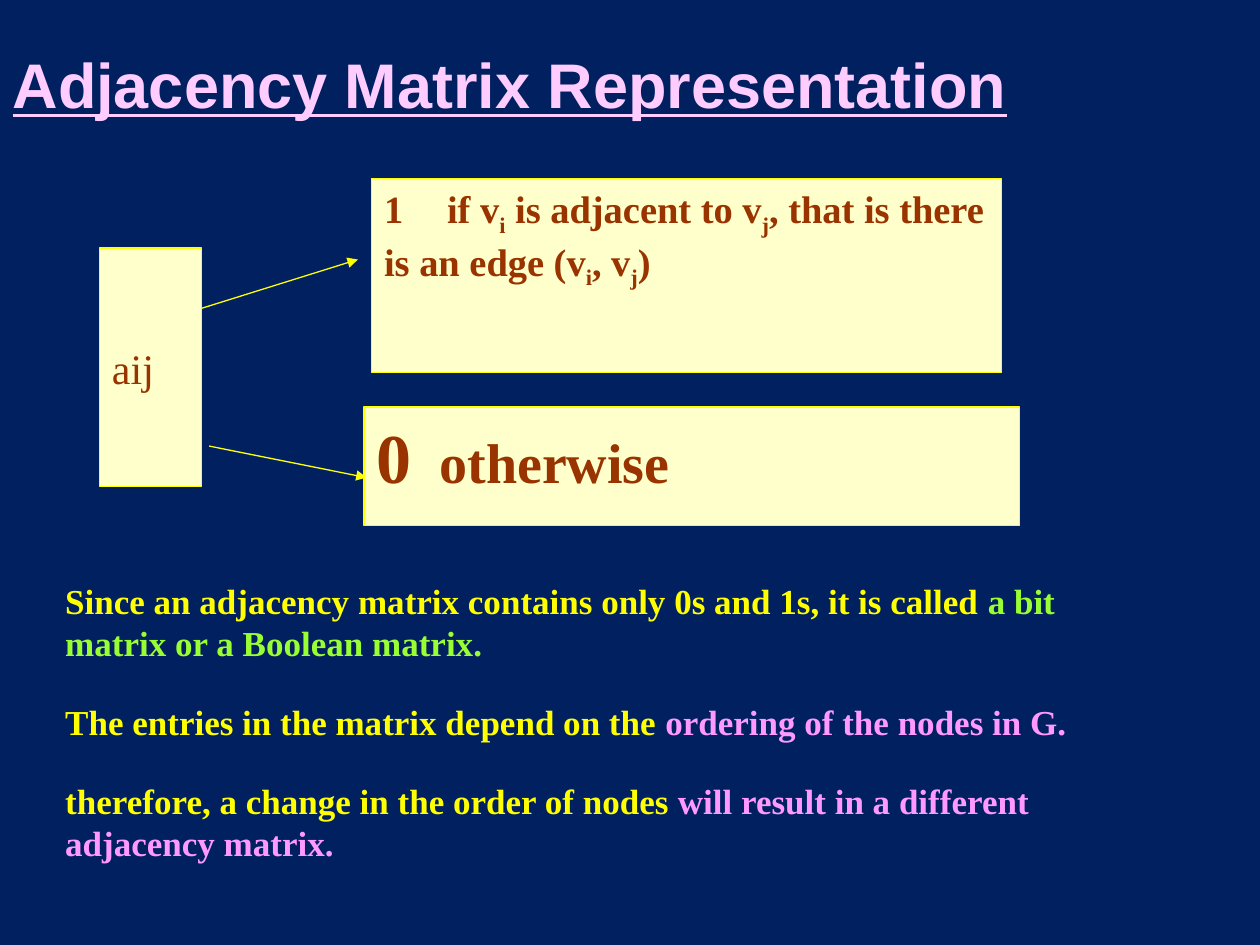
import pptx
import pptx.dml.color
import pptx.enum.shapes
import pptx.enum.text
import pptx.oxml
import pptx.oxml.ns
import pptx.util

Pt = pptx.util.Pt
RGB = pptx.dml.color.RGBColor
Anchor = pptx.enum.text.MSO_ANCHOR

NAVY = RGB(0x00, 0x20, 0x60)
PALE_PINK = RGB(0xFF, 0xCC, 0xFF)
PINK = RGB(0xFF, 0x99, 0xFF)
YELLOW = RGB(0xFF, 0xFF, 0x00)
CREAM = RGB(0xFF, 0xFF, 0xCC)
BROWN = RGB(0x99, 0x33, 0x00)
GREEN = RGB(0x99, 0xFF, 0x33)


def add_text(paragraph, text, font="Times New Roman", size=20, color=BROWN,
             bold=True, underline=False, baseline=0):
    """Append a formatted run to a paragraph."""
    run = paragraph.add_run()
    run.text = text
    run.font.name = font
    run.font.size = Pt(size)
    run.font.color.rgb = color
    run.font.bold = bold
    run.font.underline = underline
    if baseline:
        run.font._element.set("baseline", str(baseline * 1000))


class SlideBuilder:
    """Hold the slide and its shared style, and add each kind of element."""

    line_width = Pt(0.75)

    def __init__(self, slide):
        self.slide = slide
        slide.background.fill.solid()
        slide.background.fill.fore_color.rgb = NAVY

    def title(self, text, left, top, width, height):
        heading = self.slide.shapes.title
        heading.left, heading.top = Pt(left), Pt(top)
        heading.width, heading.height = Pt(width), Pt(height)
        frame = heading.text_frame
        frame.vertical_anchor = Anchor.MIDDLE
        frame.margin_top = Pt(9)
        frame.paragraphs[0].alignment = pptx.enum.text.PP_ALIGN.LEFT
        add_text(frame.paragraphs[0], text, font="Arial", size=36,
                 color=PALE_PINK, underline=True)

    def arrow(self, x1, y1, x2, y2):
        link = self.slide.shapes.add_connector(
            pptx.enum.shapes.MSO_CONNECTOR.STRAIGHT, Pt(x1), Pt(y1), Pt(x2), Pt(y2))
        link.line.color.rgb = YELLOW
        link.line.width = self.line_width
        head = pptx.oxml.parse_xml(
            f'<a:tailEnd {pptx.oxml.ns.nsdecls("a")} type="triangle"/>')
        link.line._get_or_add_ln().append(head)
        link._element.spPr.append(
            pptx.oxml.parse_xml(f'<a:effectLst {pptx.oxml.ns.nsdecls("a")}/>'))

    def box(self, runs, left, top, width, height, anchor=Anchor.TOP, wrap=True):
        panel = self.slide.shapes.add_shape(
            pptx.enum.shapes.MSO_SHAPE.RECTANGLE,
            Pt(left), Pt(top), Pt(width), Pt(height))
        panel.shadow.inherit = False
        panel.fill.solid()
        panel.fill.fore_color.rgb = CREAM
        panel.line.color.rgb = YELLOW
        panel.line.width = self.line_width
        self.fill_frame(panel.text_frame, [runs], anchor, wrap)

    def text(self, paragraphs, left, top, width, height, gap):
        note = self.slide.shapes.add_textbox(Pt(left), Pt(top), Pt(width), Pt(height))
        self.fill_frame(note.text_frame, paragraphs, Anchor.MIDDLE, True, gap)

    def fill_frame(self, frame, paragraphs, anchor, wrap, gap=0):
        frame.word_wrap = wrap
        frame.vertical_anchor = anchor
        for index, runs in enumerate(paragraphs):
            paragraph = frame.add_paragraph() if index else frame.paragraphs[0]
            paragraph.alignment = pptx.enum.text.PP_ALIGN.LEFT
            if index:
                paragraph.space_before = Pt(gap)
            for text, style in runs:
                add_text(paragraph, text, **style)


def main():
    deck = pptx.Presentation()
    deck.slide_width, deck.slide_height = Pt(720), Pt(540)
    builder = SlideBuilder(deck.slides.add_slide(deck.slide_layouts[5]))

    builder.title("Adjacency Matrix Representation", 0, 0, 612, 90)
    builder.arrow(114.5, 176.4, 204.5, 148.3)
    builder.arrow(119.5, 254.9, 209.5, 272.9)

    base = dict(size=22)
    sub = dict(size=22, baseline=-25)
    builder.box([("1\tif v", base), ("i", sub), (" is adjacent to v", base),
                 ("j", sub), (", that is there is an edge (v", base), ("i", sub),
                 (", v", base), ("j", sub), (")", base)],
                212.4, 102.2, 360, 110.9)
    builder.box([("0", dict(size=40)), ("\t", dict(size=12)),
                 ("otherwise", dict(size=32))], 208.1, 232.6, 374.4, 67.7)
    builder.box([("aij", dict(size=24, bold=False))], 56.9, 141.8, 58.3, 136.1,
                anchor=Anchor.MIDDLE, wrap=False)

    remarks = [
        ("Since an adjacency matrix contains only 0s and 1s, it is called ",
         "a bit matrix or a Boolean matrix.", GREEN),
        ("The entries in the matrix depend on the ",
         "ordering of the nodes in G.", PINK),
        ("therefore, a change in the order of nodes ",
         "will result in a different adjacency matrix.", PINK),
    ]
    builder.text([[(lead, dict(color=YELLOW)), (point, dict(color=accent))]
                  for lead, point, accent in remarks],
                 30.2, 339.8, 616.3, 144.7, gap=21)
    deck.save("out.pptx")


if __name__ == "__main__":
    main()
